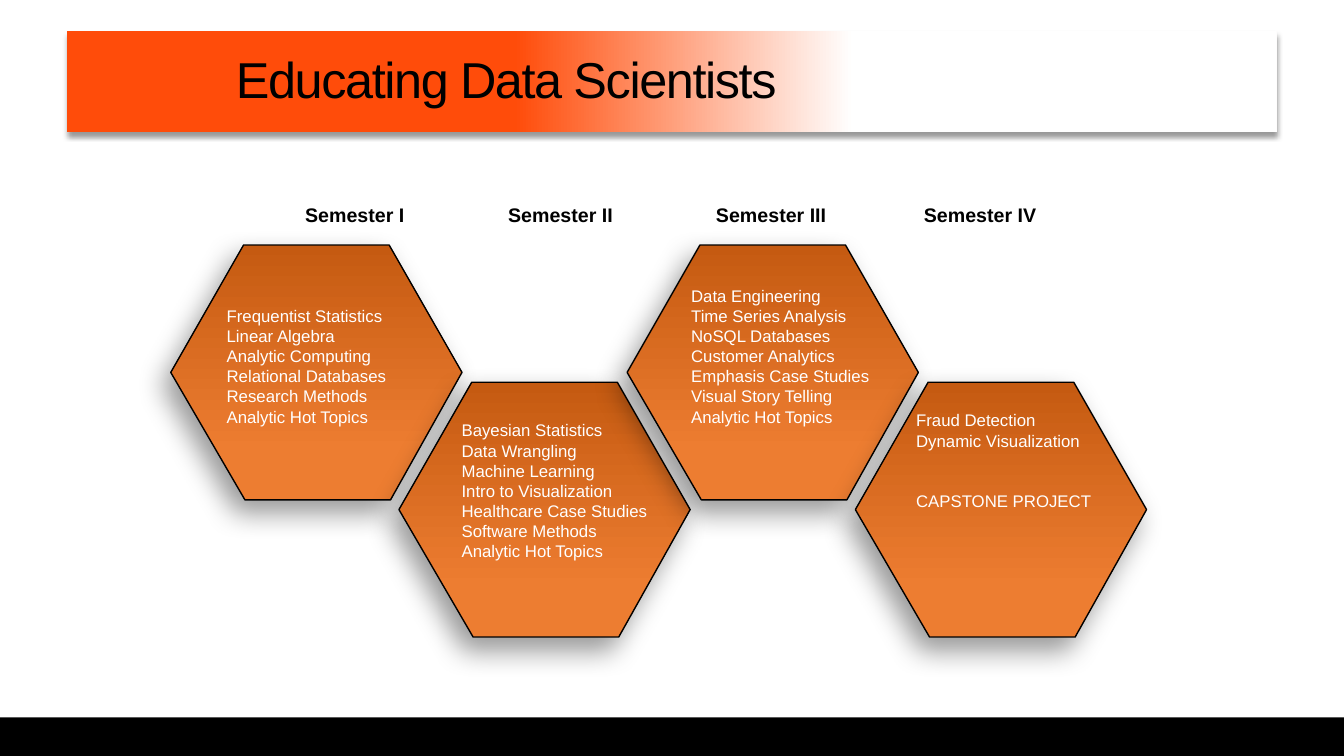
from lxml import etree
from pptx import Presentation
from pptx.dml.color import RGBColor
from pptx.enum.shapes import MSO_SHAPE
from pptx.enum.text import MSO_ANCHOR, MSO_AUTO_SIZE, PP_ALIGN
from pptx.oxml.ns import qn
from pptx.util import Pt

RECTANGLE = MSO_SHAPE.RECTANGLE
BOTTOM = MSO_ANCHOR.BOTTOM
NO_FIT = MSO_AUTO_SIZE.NONE
LEFT = PP_ALIGN.LEFT
TITLE_ONLY = 5
FONT = "Arial"
BLACK, WHITE = "000000", "FFFFFF"
BANNER_ORANGE = "FF4C0A"
DARK_ORANGE, ORANGE = "C55A11", "ED7D31"

HEXAGON_OUTLINE = [(0, 91), (52, 0), (156, 0), (208, 91), (157, 182), (53, 182)]
HEXAGON_LEFT, HEXAGON_STEP = 121.7, 163.2
HEXAGON_TOPS = (175, 273)

SEMESTERS = [
    ("Semester I", 218, (154.8, 214.6),
     ["Frequentist Statistics", "Linear Algebra", "Analytic Computing",
      "Relational Databases", "Research Methods", "Analytic Hot Topics"]),
    ("Semester II", 363, (322.6, 296.6),
     ["Bayesian Statistics", "Data Wrangling", "Machine Learning",
      "Intro to Visualization", "Healthcare Case Studies", "Software Methods",
      "Analytic Hot Topics"]),
    ("Semester III", 511.5, (486.6, 200.2),
     ["Data Engineering", "Time Series Analysis", "NoSQL Databases",
      "Customer Analytics", "Emphasis Case Studies", "Visual Story Telling",
      "Analytic Hot Topics"]),
    ("Semester IV", 660, (647.3, 289.4),
     ["Fraud Detection", "Dynamic Visualization", "CAPSTONE PROJECT"]),
]


def color(hex_value):
    """Return the colour for a hex string."""
    return RGBColor.from_string(hex_value)


def fill_gradient(shape, angle, *stops):
    """Fill a shape with a linear gradient of two stops."""
    shape.fill.gradient()
    shape.fill.gradient_angle = angle
    for stop, (position, hex_value) in zip(shape.fill.gradient_stops, stops):
        stop.position = position
        stop.color.rgb = color(hex_value)


def add_shadow(shape, blur, distance, direction):
    """Give a shape a soft black outer shadow."""
    shape.shadow.inherit = False
    effects = shape.element.spPr.find(qn("a:effectLst"))
    shadow = etree.SubElement(
        effects, qn("a:outerShdw"), blurRad=str(Pt(blur)), dist=str(Pt(distance)),
        dir=str(direction * 60000), algn="ctr", rotWithShape="0")
    shade = etree.SubElement(shadow, qn("a:srgbClr"), val=BLACK)
    etree.SubElement(shade, qn("a:alpha"), val="40000")


def add_bar(slide, left, top, width, height):
    """Add a rectangle without an outline."""
    bar = slide.shapes.add_shape(RECTANGLE, Pt(left), Pt(top), Pt(width), Pt(height))
    bar.shadow.inherit = False
    bar.line.fill.background()
    return bar


def format_title(title):
    """Place the title over the banner and style it."""
    title.left, title.top, title.width, title.height = Pt(161.3), Pt(31), Pt(658), Pt(51)
    frame = title.text_frame
    frame.text = "Educating Data Scientists"
    frame.auto_size = NO_FIT
    frame.vertical_anchor = BOTTOM
    paragraph = frame.paragraphs[0]
    paragraph.alignment = LEFT
    paragraph.line_spacing = 0.9
    run = paragraph.runs[0]
    run.font.name = FONT
    run.font.size = Pt(36)
    run.font.color.rgb = color(BLACK)
    run.font._element.set("spc", "-100")
    title.element.getparent().append(title.element)


def add_hexagon(slide, left, top):
    """Add one shaded hexagon."""
    points = [(left + x, top + y) for x, y in HEXAGON_OUTLINE]
    builder = slide.shapes.build_freeform(*points[0], scale=Pt(1))
    builder.add_line_segments(points[1:], close=True)
    hexagon = builder.convert_to_shape()
    fill_gradient(hexagon, 270, (0, DARK_ORANGE), (0.81, ORANGE))
    hexagon.line.color.rgb = color(BLACK)
    hexagon.line.width = Pt(1)
    add_shadow(hexagon, 20, 11, 126)


def add_text(slide, left, top, width, lines, size, hex_value, bold=False):
    """Add left-aligned lines of text and return their paragraphs."""
    box = slide.shapes.add_textbox(Pt(left), Pt(top), Pt(width), Pt(24 + 14.4 * (len(lines) - 1)))
    frame = box.text_frame
    frame.word_wrap = True
    frame.text = "\n".join(lines)
    for paragraph in frame.paragraphs:
        paragraph.line_spacing = Pt(size * 1.2)
        for run in paragraph.runs:
            run.font.name = FONT
            run.font.size = Pt(size)
            run.font.bold = bold
            run.font.color.rgb = color(hex_value)
    return frame.paragraphs


def main():
    """Build the slide and save it."""
    presentation = Presentation()
    presentation.slide_width, presentation.slide_height = Pt(960), Pt(540)
    slide = presentation.slides.add_slide(presentation.slide_layouts[TITLE_ONLY])

    footer = add_bar(slide, 0, 512.5, 960, 27.5)
    footer.fill.solid()
    footer.fill.fore_color.rgb = color(BLACK)
    banner = add_bar(slide, 48, 22, 864, 72)
    fill_gradient(banner, 0, (0.37, BANNER_ORANGE), (0.65, WHITE))
    add_shadow(banner, 4, 3, 90)
    format_title(slide.shapes.title)

    for index in range(len(SEMESTERS)):
        add_hexagon(slide, HEXAGON_LEFT + index * HEXAGON_STEP, HEXAGON_TOPS[index % 2])
    for name, name_left, (left, top), courses in SEMESTERS:
        add_text(slide, name_left - 7.2, 141.5, 110, [name], 14, BLACK, bold=True)
        paragraphs = add_text(slide, left, top, 162, courses, 12, WHITE)
        if courses[-1] == "CAPSTONE PROJECT":
            paragraphs[-1].space_before = Pt(28.8)

    presentation.save("out.pptx")


if __name__ == "__main__":
    main()
